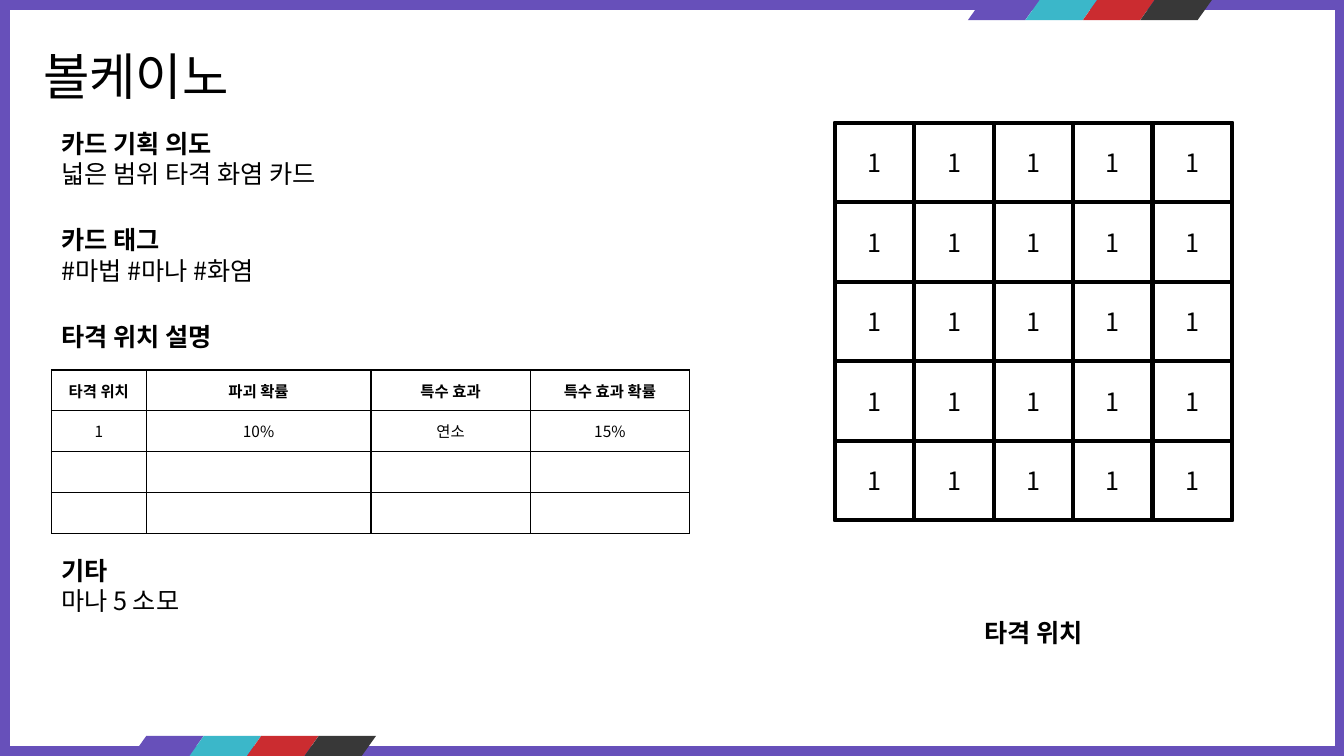
import pptx
import pptx.util
import pptx.dml.color
import pptx.enum.shapes
import pptx.enum.text
import pptx.oxml.ns
import lxml.etree

Inches = pptx.util.Inches
Pt = pptx.util.Pt
KIND = pptx.enum.shapes.MSO_SHAPE
ALIGN = pptx.enum.text.PP_ALIGN
MIDDLE = pptx.enum.text.MSO_ANCHOR.MIDDLE
qn = pptx.oxml.ns.qn

FONT = "Noto Sans CJK KR"
COLORS = {
    "purple": "6750BA",
    "teal": "3BB7C9",
    "red": "CB2C30",
    "dark": "383838",
    "white": "FFFFFF",
    "black": "000000",
}


def rgb(name):
    return pptx.dml.color.RGBColor.from_string(COLORS[name])


def paint(fill, color):
    fill.solid()
    fill.fore_color.rgb = rgb(color)


def put(item, values):
    for name, value in values.items():
        setattr(item, name, value)


def write(frame, lines, size, align=ALIGN.LEFT):
    """Fill a text frame with (text, bold) lines."""
    for i, (text, bold) in enumerate(lines):
        para = frame.paragraphs[0] if i == 0 else frame.add_paragraph()
        para.alignment = align
        run = para.add_run()
        run.text = text
        put(run.font, {"name": FONT, "size": Pt(size), "bold": bold})
        run.font.color.rgb = rgb("black")
        props = run.font._element
        lxml.etree.SubElement(props, qn("a:ea"), typeface=FONT)


def add_box(slide, kind, place, color, line=None):
    shape = slide.shapes.add_shape(kind, *map(Inches, place))
    shape.shadow.inherit = False
    paint(shape.fill, color)
    if line:
        shape.line.color.rgb = rgb("black")
        shape.line.width = Pt(line)
    else:
        shape.line.fill.background()
    return shape


def add_text(slide, place, lines, size=18, align=ALIGN.LEFT):
    frame = slide.shapes.add_textbox(*map(Inches, place)).text_frame
    frame.word_wrap = True
    write(frame, lines, size, align)


def add_bars(slide, left, top):
    for i, color in enumerate(("purple", "teal", "red", "dark")):
        place = (left + 0.57 * i, top, 0.71, 0.2)
        add_box(slide, KIND.FLOWCHART_DATA, place, color)


def add_grid(slide, left, top, side, count):
    add_box(slide, KIND.RECTANGLE, (left, top, side, side), "white", 3)
    step = side / count
    for row in range(count):
        for col in range(count):
            place = (left + col * step, top + row * step, step, step)
            tile = add_box(slide, KIND.RECTANGLE, place, "white", 3)
            tile.text_frame.vertical_anchor = MIDDLE
            write(tile.text_frame, [("1", False)], 18, ALIGN.CENTER)


def add_edge(cell):
    props = cell._tc.get_or_add_tcPr()
    for side in ("lnL", "lnR", "lnT", "lnB"):
        edge = lxml.etree.SubElement(props, qn("a:" + side), w=str(Pt(1)))
        fill = lxml.etree.SubElement(edge, qn("a:solidFill"))
        lxml.etree.SubElement(fill, qn("a:srgbClr"), val=COLORS["black"])


def add_table(slide, left, top, widths, height, rows):
    place = (left, top, sum(widths), height * len(rows))
    table = slide.shapes.add_table(
        len(rows), len(widths), *map(Inches, place)).table
    put(table, {"first_row": False, "horz_banding": False})
    for col, width in zip(table.columns, widths):
        col.width = Inches(width)
    for r, row in enumerate(rows):
        table.rows[r].height = Inches(height)
        for c, text in enumerate(row):
            cell = table.cell(r, c)
            put(cell, {"margin_left": 0, "margin_right": 0, "margin_top": 0,
                       "margin_bottom": 0, "vertical_anchor": MIDDLE})
            add_edge(cell)
            paint(cell.fill, "white")
            if text:
                write(cell.text_frame, [(text, r == 0)], 11, ALIGN.CENTER)


def main():
    deck = pptx.Presentation()
    put(deck, {"slide_width": Inches(13.33), "slide_height": Inches(7.5)})
    slide = deck.slides.add_slide(deck.slide_layouts[6])

    # Frame and slanted bars
    paint(slide.background.fill, "purple")
    add_box(slide, KIND.RECTANGLE, (0.1, 0.1, 13.14, 7.3), "white")
    add_bars(slide, 9.6, 0)
    add_bars(slide, 1.31, 7.3)

    # Title and card notes
    add_text(slide, (0.33, 0.4, 6.43, 0.71), [("볼케이노", False)], 36)
    add_text(slide, (0.51, 1.22, 7.7, 0.71),
             [("카드 기획 의도", True), ("넓은 범위 타격 화염 카드", False)])
    add_text(slide, (0.51, 2.18, 7.7, 0.71),
             [("카드 태그", True), ("#마법 #마나 #화염", False)])
    add_text(slide, (0.51, 3.14, 7.7, 0.4), [("타격 위치 설명", True)])
    add_text(slide, (0.51, 5.46, 7.7, 0.71),
             [("기타", True), ("마나 5 소모", False)])

    # Hit table
    add_table(slide, 0.51, 3.67, (0.94, 2.23, 1.58, 1.58), 0.405, [
        ("타격 위치", "파괴 확률", "특수 효과", "특수 효과 확률"),
        ("1", "10%", "연소", "15%"),
        ("",) * 4,
        ("",) * 4,
    ])

    # Hit grid
    add_grid(slide, 8.28, 1.22, 3.94, 5)
    add_text(slide, (9.23, 6.08, 2.04, 0.4), [("타격 위치", True)],
             align=ALIGN.CENTER)

    deck.save("out.pptx")


if __name__ == "__main__":
    main()
